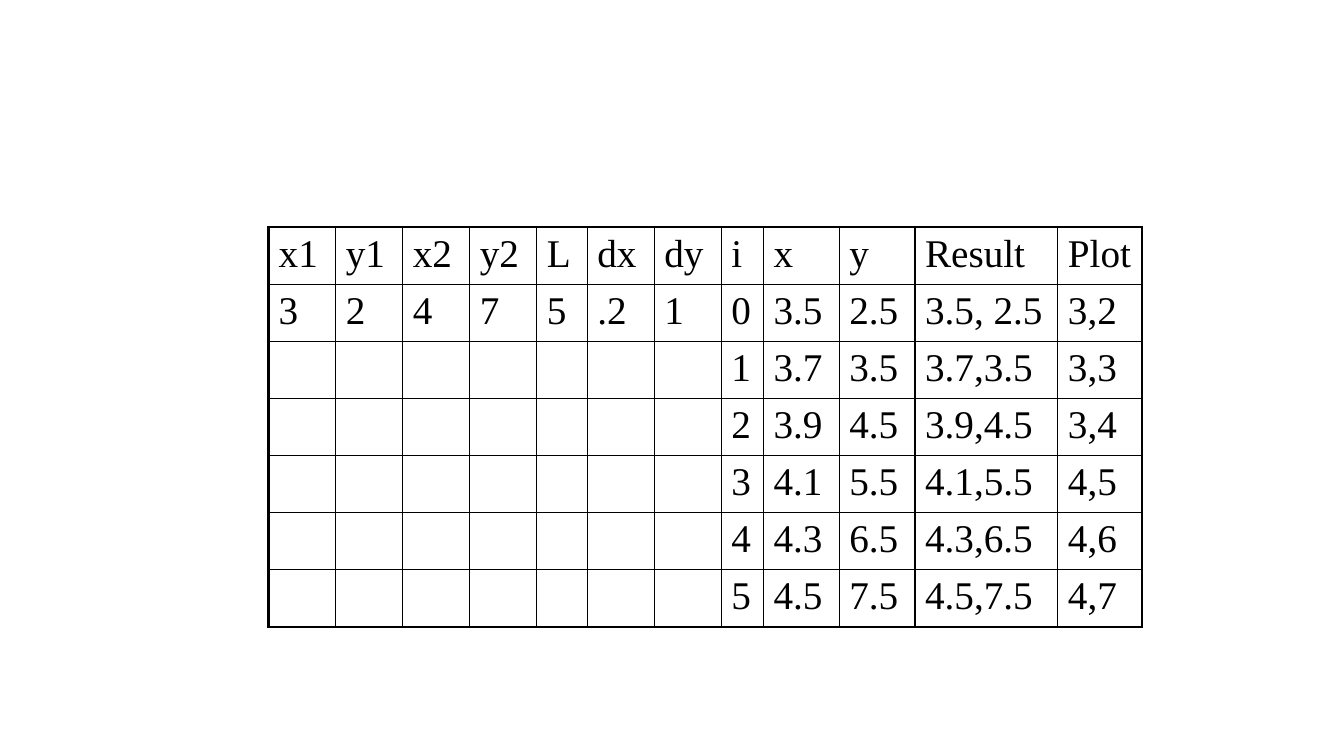
from dataclasses import dataclass

from lxml.etree import SubElement
from pptx import Presentation
from pptx.dml.color import RGBColor
from pptx.oxml.ns import qn
from pptx.util import Cm, Pt


@dataclass(frozen=True)
class Theme:
    ink: str = "000000"
    paper: str = "FFFFFF"
    font: str = "Times New Roman"
    text_size: float = 28
    inner_line: float = 1
    outer_line: float = 2.25


THEME = Theme()
HEADER = ["x1", "y1", "x2", "y2", "L", "dx", "dy", "i", "x", "y", "Result", "Plot"]
INPUTS = ["3", "2", "4", "7", "5", ".2", "1"]
STEPS = [
    ["0", "3.5", "2.5", "3.5, 2.5", "3,2"],
    ["1", "3.7", "3.5", "3.7,3.5", "3,3"],
    ["2", "3.9", "4.5", "3.9,4.5", "3,4"],
    ["3", "4.1", "5.5", "4.1,5.5", "4,5"],
    ["4", "4.3", "6.5", "4.3,6.5", "4,6"],
    ["5", "4.5", "7.5", "4.5,7.5", "4,7"],
]
COLUMN_WIDTHS = [1.69] * 4 + [1.27] + [1.69] * 2 + [1.06, 1.91, 1.91, 3.6, 2.12]
ROW_HEIGHT = 1.44


def set_background(s):
    fill = s.background.fill
    fill.solid()
    fill.fore_color.rgb = RGBColor.from_string(THEME.paper)


def set_borders(cell, outer_edges):
    """Draw all four borders, heavier on the edges that bound the table."""
    tc_pr = cell._tc.get_or_add_tcPr()
    for edge in ("lnL", "lnR", "lnT", "lnB"):
        width = THEME.outer_line if edge in outer_edges else THEME.inner_line
        line = SubElement(tc_pr, qn(f"a:{edge}"), w=str(Pt(width)))
        fill = SubElement(line, qn("a:solidFill"))
        SubElement(fill, qn("a:srgbClr"), val=THEME.ink)


def write_cell(cell, text):
    if not text:
        return
    r = cell.text_frame.paragraphs[0].add_run()
    r.text = text
    formats = {"name": THEME.font, "size": Pt(THEME.text_size), "bold": False}
    for name, value in formats.items():
        setattr(r.font, name, value)
    r.font.color.rgb = RGBColor.from_string(THEME.ink)


def add_grid(s, rows, left, top):
    last_row, last_col = len(rows) - 1, len(COLUMN_WIDTHS) - 1
    sp = s.shapes.add_table(len(rows), len(COLUMN_WIDTHS), Cm(left), Cm(top),
                            Cm(sum(COLUMN_WIDTHS)), Cm(ROW_HEIGHT * len(rows)))
    table = sp.table
    table.first_row = table.horz_banding = False
    for column, width in zip(table.columns, COLUMN_WIDTHS):
        column.width = Cm(width)
    for i, row in enumerate(rows):
        table.rows[i].height = Cm(ROW_HEIGHT)
        for j, text in enumerate(row):
            cell = table.cell(i, j)
            at_edge = {"lnL": j == 0, "lnR": j == last_col,
                       "lnT": i == 0, "lnB": i == last_row}
            set_borders(cell, [edge for edge, outer in at_edge.items() if outer])
            cell.fill.background()
            write_cell(cell, text)


def main():
    prs = Presentation()
    prs.slide_width, prs.slide_height = Cm(33.87), Cm(19.05)
    s = prs.slides.add_slide(prs.slide_layouts[6])
    set_background(s)
    blanks = [""] * len(INPUTS)
    rows = [HEADER, INPUTS + STEPS[0]] + [blanks + step for step in STEPS[1:]]
    add_grid(s, rows, left=6.77, top=5.72)
    prs.save("out.pptx")


if __name__ == "__main__":
    main()
